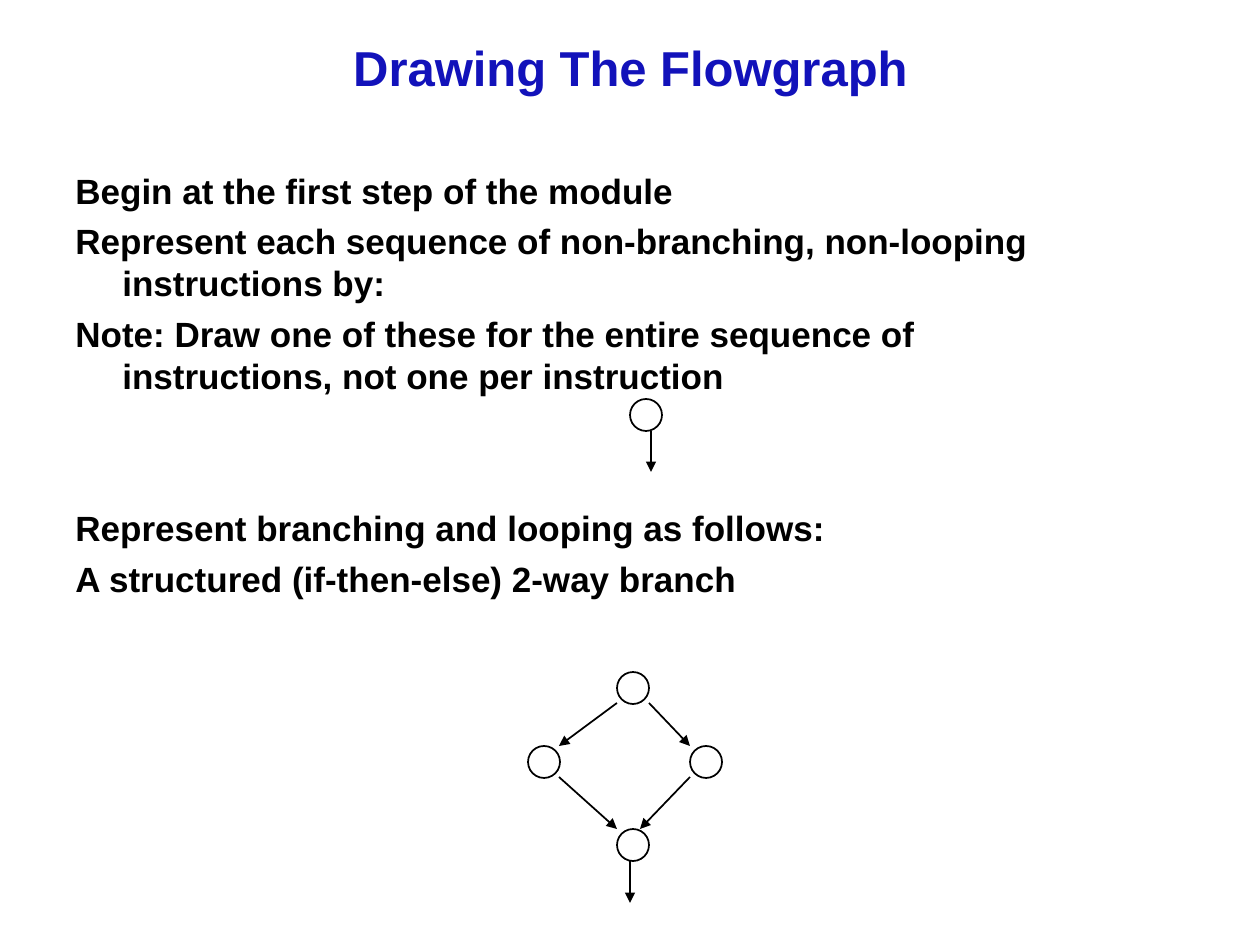
from typing import NamedTuple

from pptx import Presentation
from pptx.dml.color import RGBColor
from pptx.enum.shapes import MSO_CONNECTOR as Connector, MSO_SHAPE as Shape
from pptx.enum.text import MSO_ANCHOR as Anchor, PP_ALIGN as Align
from pptx.oxml import parse_xml
from pptx.oxml.ns import nsdecls
from pptx.util import Emu, Pt

PX_PER_INCH = 126
FONT = "Arial"
BLUE = RGBColor(0x12, 0x12, 0xBA)
BLACK = RGBColor(0x00, 0x00, 0x00)
WHITE = RGBColor(0xFF, 0xFF, 0xFF)
NODE_SIZE = 32
HANGING_INDENT = 47


class Node(NamedTuple):
    left: int
    top: int


class Arrow(NamedTuple):
    x1: int
    y1: int
    x2: int
    y2: int


class Step(NamedTuple):
    text: str
    space_before: int = 5


STEPS = [
    Step("Begin at the first step of the module", 0),
    Step("Represent each sequence of non-branching, non-looping instructions by:"),
    Step("Note: Draw one of these for the entire sequence of instructions, "
         "not one per instruction"),
    Step("Represent branching and looping as follows:", 63),
    Step("A structured (if-then-else) 2-way branch"),
]

NODES = [
    Node(630, 399),  # plain sequence
    Node(617, 672),  # branch: top, left, right, bottom
    Node(528, 746),
    Node(690, 746),
    Node(617, 829),
]

ARROWS = [
    Arrow(651, 431, 651, 472),  # plain sequence
    Arrow(649, 703, 690, 746),  # branch
    Arrow(690, 777, 640, 829),
    Arrow(617, 703, 559, 746),
    Arrow(559, 777, 617, 829),
    Arrow(630, 861, 630, 903),
]


def px(value: int) -> Emu:
    return Emu(round(value * 914400 / PX_PER_INCH))


def add_run(paragraph, text: str, size: int, color: RGBColor) -> None:
    run = paragraph.add_run()
    run.text = text
    run.font.name = FONT
    run.font.size = Pt(size)
    run.font.bold = True
    run.font.color.rgb = color


def set_title(slide, text: str) -> None:
    title = slide.shapes.title
    title.left, title.top, title.width, title.height = px(95), px(0), px(1071), px(134)
    frame = title.text_frame
    frame.vertical_anchor = Anchor.MIDDLE
    paragraph = frame.paragraphs[0]
    paragraph.alignment = Align.CENTER
    add_run(paragraph, text, 28, BLUE)


def add_steps(slide, steps: list[Step]) -> None:
    frame = slide.shapes.add_textbox(px(63), px(163), px(1071), px(643)).text_frame
    frame.word_wrap = True
    for index, step in enumerate(steps):
        paragraph = frame.add_paragraph() if index else frame.paragraphs[0]
        paragraph.line_spacing = Pt(24)
        paragraph.space_before = Pt(step.space_before)
        properties = paragraph._p.get_or_add_pPr()
        properties.set("marL", str(px(HANGING_INDENT)))
        properties.set("indent", str(-px(HANGING_INDENT)))
        add_run(paragraph, step.text, 20, BLACK)


def add_node(slide, node: Node) -> None:
    shape = slide.shapes.add_shape(
        Shape.OVAL, px(node.left), px(node.top), px(NODE_SIZE), px(NODE_SIZE))
    shape.shadow.inherit = False
    shape.fill.solid()
    shape.fill.fore_color.rgb = WHITE
    shape.line.color.rgb = BLACK
    shape.line.width = Pt(1)


def add_arrow(slide, arrow: Arrow) -> None:
    connector = slide.shapes.add_connector(
        Connector.STRAIGHT, *(px(value) for value in arrow))
    connector.line.color.rgb = BLACK
    connector.line.width = Pt(1)
    connector.line._get_or_add_ln().append(
        parse_xml(f'<a:tailEnd {nsdecls("a")} type="triangle"/>'))
    connector._element.spPr.append(parse_xml(f'<a:effectLst {nsdecls("a")}/>'))


def main() -> None:
    presentation = Presentation()
    presentation.slide_width, presentation.slide_height = px(1260), px(945)
    slide = presentation.slides.add_slide(presentation.slide_layouts[5])

    # Text
    set_title(slide, "Drawing The Flowgraph")
    add_steps(slide, STEPS)

    # Flowgraphs
    for node in NODES:
        add_node(slide, node)
    for arrow in ARROWS:
        add_arrow(slide, arrow)

    presentation.save("out.pptx")


if __name__ == "__main__":
    main()
